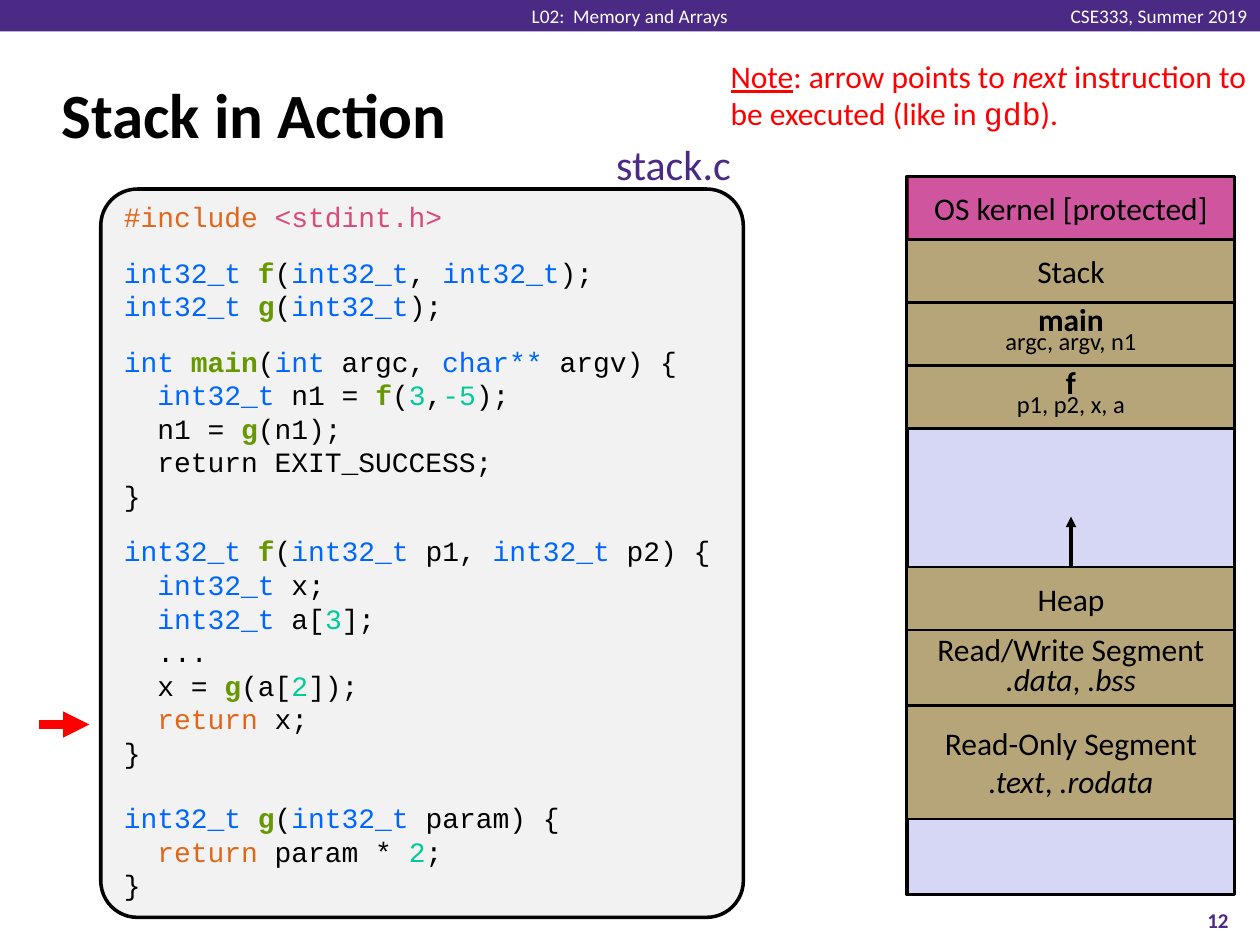
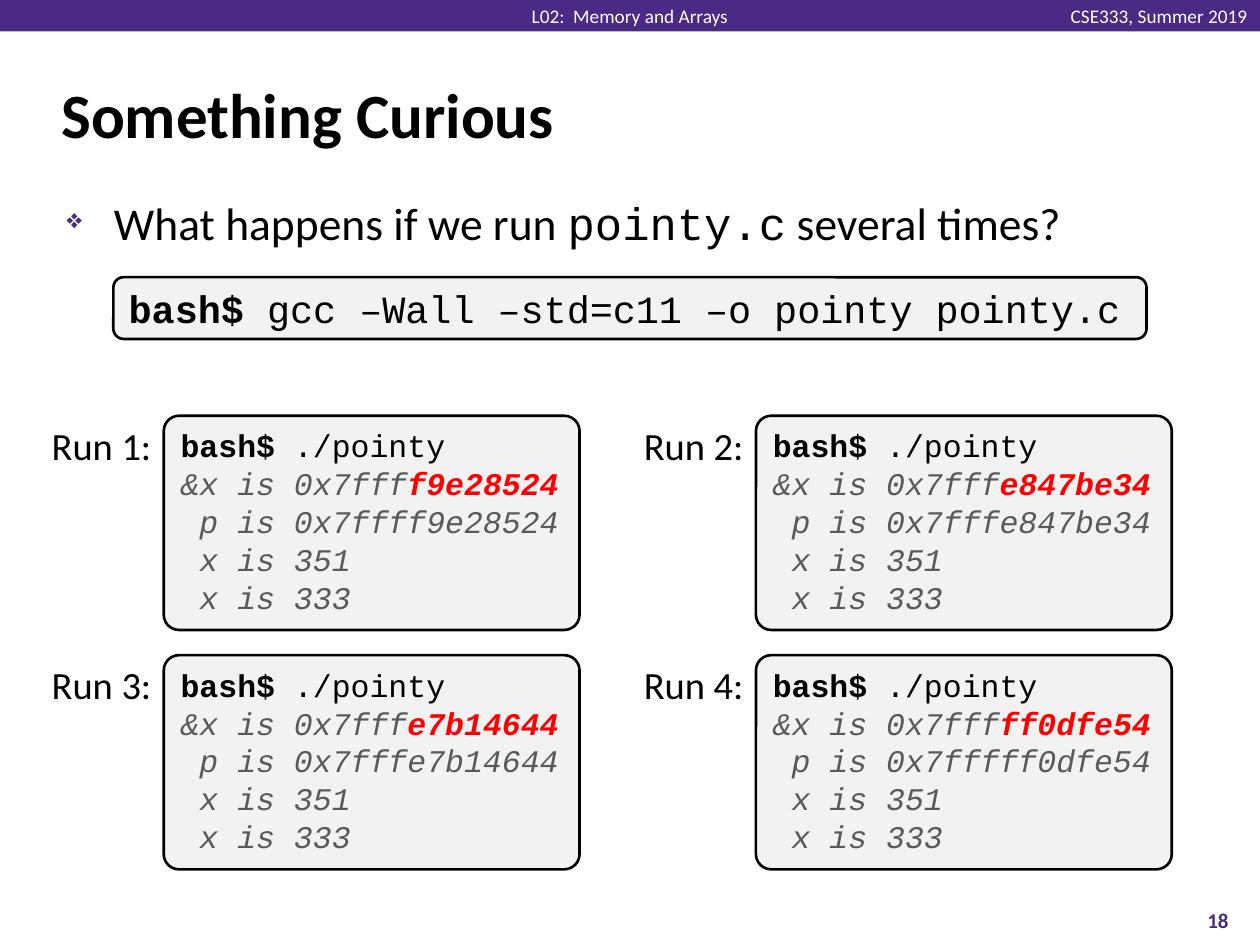
import lxml.etree
import pptx
import pptx.dml.color
import pptx.enum.shapes
import pptx.enum.text
import pptx.oxml.ns
import pptx.util

Pt = pptx.util.Pt
RGBColor = pptx.dml.color.RGBColor
qn = pptx.oxml.ns.qn
SHAPES = pptx.enum.shapes.MSO_SHAPE
ALIGN = pptx.enum.text.PP_ALIGN
ANCHOR = pptx.enum.text.MSO_ANCHOR

PURPLE = RGBColor(0x4B, 0x2A, 0x85)
WHITE = RGBColor(0xFF, 0xFF, 0xFF)
BLACK = RGBColor(0, 0, 0)
RED = RGBColor(0xFF, 0, 0)
PANEL = RGBColor(0xF2, 0xF2, 0xF2)
GREY = RGBColor(0x5A, 0x5A, 0x5A)
LAVENDER = RGBColor(0xD6, 0xD6, 0xF5)
GOLD = RGBColor(0xB7, 0xA5, 0x7A)
MAGENTA = RGBColor(0xCC, 0, 0x66)
ORANGE = RGBColor(0xE2, 0x66, 0x1A)
PINK = RGBColor(0xD9, 0x4B, 0x7B)
BLUE = RGBColor(0, 0x66, 0xFF)
GREEN = RGBColor(0x66, 0x99, 0)
TEAL = RGBColor(0, 0xCC, 0x99)

SANS = "Calibri"
MONO = "Courier New"
BOLD = {"bold": True}
ITALIC = {"italic": True}

TOKEN_STYLES = {
    **dict.fromkeys(["#include", "return"], {"color": ORANGE}),
    **dict.fromkeys(["int32_t", "int", "char**"], {"color": BLUE}),
    **dict.fromkeys(["f", "g", "main"], {"color": GREEN, "bold": True}),
    **dict.fromkeys(["2", "3", "-5"], {"color": TEAL}),
    "<stdint.h>": {"color": PINK},
}

CODE_BLOCKS = [
    (0, ["#include |<stdint.h>"]),
    (12.5, ["int32_t |f|(|int32_t|, |int32_t|);", "int32_t |g|(|int32_t|);"]),
    (12.5, [
        "int |main|(|int |argc, |char** |argv) {",
        "  |int32_t |n1 = |f|(|3|,|-5|);",
        "  n1 = |g|(n1);",
        "  return EXIT_SUCCESS;",
        "}",
    ]),
    (12.5, [
        "int32_t |f|(|int32_t| p1, |int32_t |p2) {",
        "  |int32_t |x;",
        "  |int32_t |a[|3|];",
        "  ...",
        "  x = |g|(a[|2|]);",
        "  |return| x;",
        "}",
    ]),
    (18, ["int32_t |g|(|int32_t| param) {", "  |return| param * |2|;", "}"]),
]

SMALL = {"size": 14}
SEGMENTS = [
    (36, MAGENTA, 1, ["OS kernel [protected]"]),
    (36, GOLD, 1, ["Stack"]),
    (36, GOLD, 0.6, [("main", BOLD), "\n", ("argc, argv, n1", SMALL)]),
    (36, GOLD, 0.6, [("f", BOLD), "\n", ("p1, p2, x, a", SMALL)]),
    (79.2, None, 1, []),
    (36, GOLD, 1, ["Heap"]),
    (43.2, GOLD, 0.8,
     ["Read/Write Segment", "\n", (".data", ITALIC), ", ", (".bss", ITALIC)]),
    (64.8, GOLD, 1,
     ["Read-Only Segment", "\n", (".text", ITALIC), ", ", (".rodata", ITALIC)]),
]

RUN_ADDRESSES = ["f9e28524", "e847be34", "e7b14644", "ff0dfe54"]


def style_font(font, color=None, **settings):
    for name, value in settings.items():
        setattr(font, name, value)
    if color is not None:
        font.color.rgb = color


def write_spans(para, spans):
    for span in spans:
        if span == "\n":
            para.add_line_break()
            continue
        text, style = (span, {}) if isinstance(span, str) else span
        run = para.add_run()
        run.text = text
        style_font(run.font, **style)


def write_text(shape, paragraphs, size, name=SANS, color=BLACK, bold=None,
               align=ALIGN.LEFT, anchor=ANCHOR.TOP, spacing=1):
    frame = shape.text_frame
    frame.word_wrap = True
    frame.vertical_anchor = anchor
    for index, spans in enumerate(paragraphs):
        para = frame.add_paragraph() if index else frame.paragraphs[0]
        para.alignment = align
        para.line_spacing = spacing
        style_font(para.font, color, size=Pt(size), name=name, bold=bold)
        write_spans(para, [
            span if isinstance(span, str) else (span[0], scaled(span[1]))
            for span in spans
        ])
    return frame


def scaled(style):
    return {**style, "size": Pt(style["size"])} if "size" in style else style


def add_text(page, bounds, spans, size, **options):
    box = page.shapes.add_textbox(*map(Pt, bounds))
    write_text(box, [spans], size, **options)
    return box


def add_box(page, bounds, fill, line_width=0, kind=SHAPES.RECTANGLE, rounding=None):
    box = page.shapes.add_shape(kind, *map(Pt, bounds))
    box.shadow.inherit = False
    box.fill.solid()
    box.fill.fore_color.rgb = fill
    if line_width:
        box.line.color.rgb = BLACK
        box.line.width = Pt(line_width)
    else:
        box.line.fill.background()
    if rounding is not None:
        box.adjustments[0] = rounding
    return box


def add_panel(page, bounds, line_width=1.5, rounding=None):
    return add_box(page, bounds, PANEL, line_width, SHAPES.ROUNDED_RECTANGLE, rounding)


def add_arrow(page, start, end, color, width):
    arrow = page.shapes.add_connector(
        pptx.enum.shapes.MSO_CONNECTOR.STRAIGHT, *map(Pt, start + end))
    arrow.line.color.rgb = color
    arrow.line.width = Pt(width)
    properties = arrow._element.spPr
    lxml.etree.SubElement(properties.find(qn("a:ln")), qn("a:tailEnd"), type="triangle")
    lxml.etree.SubElement(properties, qn("a:effectLst"))
    return arrow


def set_opacity(shape, percent):
    fill_color = shape._element.spPr.find(qn("a:solidFill"))[0]
    lxml.etree.SubElement(fill_color, qn("a:alpha"), val=str(percent * 1000))


def add_bullet(para):
    properties = para._p.get_or_add_pPr()
    properties.set("marL", str(Pt(27)))
    properties.set("indent", str(-Pt(27)))
    bullet_color = lxml.etree.Element(qn("a:buClr"))
    lxml.etree.SubElement(bullet_color, qn("a:srgbClr"), val=str(PURPLE))
    bullet_size = lxml.etree.Element(qn("a:buSzPct"), val="60000")
    bullet_char = lxml.etree.Element(qn("a:buChar"), char="❖")
    for element in (bullet_color, bullet_size, bullet_char):
        properties.find(qn("a:defRPr")).addprevious(element)


def add_page(deck, title, number):
    page = deck.slides.add_slide(deck.slide_layouts[6])
    add_box(page, (0, 0, 720, 18), PURPLE)
    for left, text, align in [(260, "L02:  Memory and Arrays", ALIGN.CENTER),
                              (520, "CSE333, Summer 2019", ALIGN.RIGHT)]:
        header = add_text(page, (left, 2.2, 200, 13.7), [text], 11, color=WHITE,
                          align=align, anchor=ANCHOR.MIDDLE)
        header.text_frame.margin_top = header.text_frame.margin_bottom = 0
    add_text(page, (28, 34.6, 662, 59.8), [title], 36, bold=True, anchor=ANCHOR.MIDDLE)
    add_text(page, (672, 511.2, 48, 28.8), [str(number)], 12, color=PURPLE, bold=True,
             align=ALIGN.CENTER, anchor=ANCHOR.MIDDLE)
    return page


def add_code(page):
    panel = add_panel(page, (57.6, 108, 367.2, 416.2), 2, 0.057)
    lines = [line for gap, block in CODE_BLOCKS for line in block]
    gaps = [0 if index else gap for gap, block in CODE_BLOCKS for index in range(len(block))]
    frame = write_text(panel, [
        [(token, TOKEN_STYLES.get(token.strip(), {})) for token in line.split("|")]
        for line in lines
    ], 16, MONO)
    frame.margin_top = 0
    for para, gap in zip(frame.paragraphs, gaps):
        para.space_before = Pt(gap)


def add_memory_map(page):
    left, top, width = 518.4, 100.8, 187.2
    add_box(page, (left, top, width, 410.4), LAVENDER, 2)
    for height, fill, spacing, spans in SEGMENTS:
        if fill is not None:
            segment = add_box(page, (left, top, width, height), fill, 1.5)
            write_text(segment, [spans], 18, align=ALIGN.CENTER,
                       anchor=ANCHOR.MIDDLE, spacing=spacing)
            if fill == MAGENTA:
                set_opacity(segment, 60)
            if spans == ["Heap"]:
                middle = left + width / 2
                growth = add_arrow(page, (middle, top), (middle, top - 28.8), BLACK, 2)
                growth.begin_connect(segment, 0)
        top += height


def add_stack_page(deck):
    page = add_page(deck, "Stack in Action", 12)
    add_memory_map(page)
    add_text(page, (324, 75.6, 100.8, 36), ["stack.c"], 24, color=PURPLE, align=ALIGN.RIGHT)
    add_arrow(page, (22.3, 414), (51.1, 414), RED, 5)
    add_text(page, (410.4, 28.8, 309.6, 51.1), [
        ("Note", {"underline": True}), ": arrow points to ", ("next", ITALIC),
        " instruction to be executed (like in ", ("gdb", {"name": MONO}), ").",
    ], 18, color=RED)
    add_code(page)


def add_run_output(page, number, address, left, top):
    add_text(page, (left, top, 86.4, 33.8), [f"Run {number}:"], 22, align=ALIGN.RIGHT)
    panel = add_panel(page, (left + 86.4, top, 237.6, 122.4), rounding=0.071)
    output = {"color": GREY, "italic": True}
    changed = {"color": RED, "italic": True, "bold": True}
    write_text(panel, [
        [("bash$ ", BOLD), "./pointy"],
        [("&x is 0x7fff", output), (address, changed)],
        [(f" p is 0x7fff{address}", output)],
        [(" x is 351", output)],
        [(" x is 333", output)],
    ], 18, MONO)


def add_curious_page(deck):
    page = add_page(deck, "Something Curious", 18)
    question = add_text(page, (31, 108, 658.8, 45), [
        "What happens if we run ", ("pointy.c", {"name": MONO}), " several times?"], 26)
    add_bullet(question.text_frame.paragraphs[0])
    command = add_panel(page, (64.8, 158.4, 590.4, 35.3))
    write_text(command, [[("bash$ ", BOLD), "gcc –Wall –std=c11 –o pointy pointy.c"]],
               22, MONO, anchor=ANCHOR.MIDDLE)
    for index, address in enumerate(RUN_ADDRESSES):
        row, column = divmod(index, 2)
        add_run_output(page, index + 1, address, 7.2 + 338.4 * column, 237.6 + 136.8 * row)


def main():
    deck = pptx.Presentation()
    deck.slide_width, deck.slide_height = Pt(720), Pt(540)
    add_stack_page(deck)
    add_curious_page(deck)
    deck.save("out.pptx")


if __name__ == "__main__":
    main()
